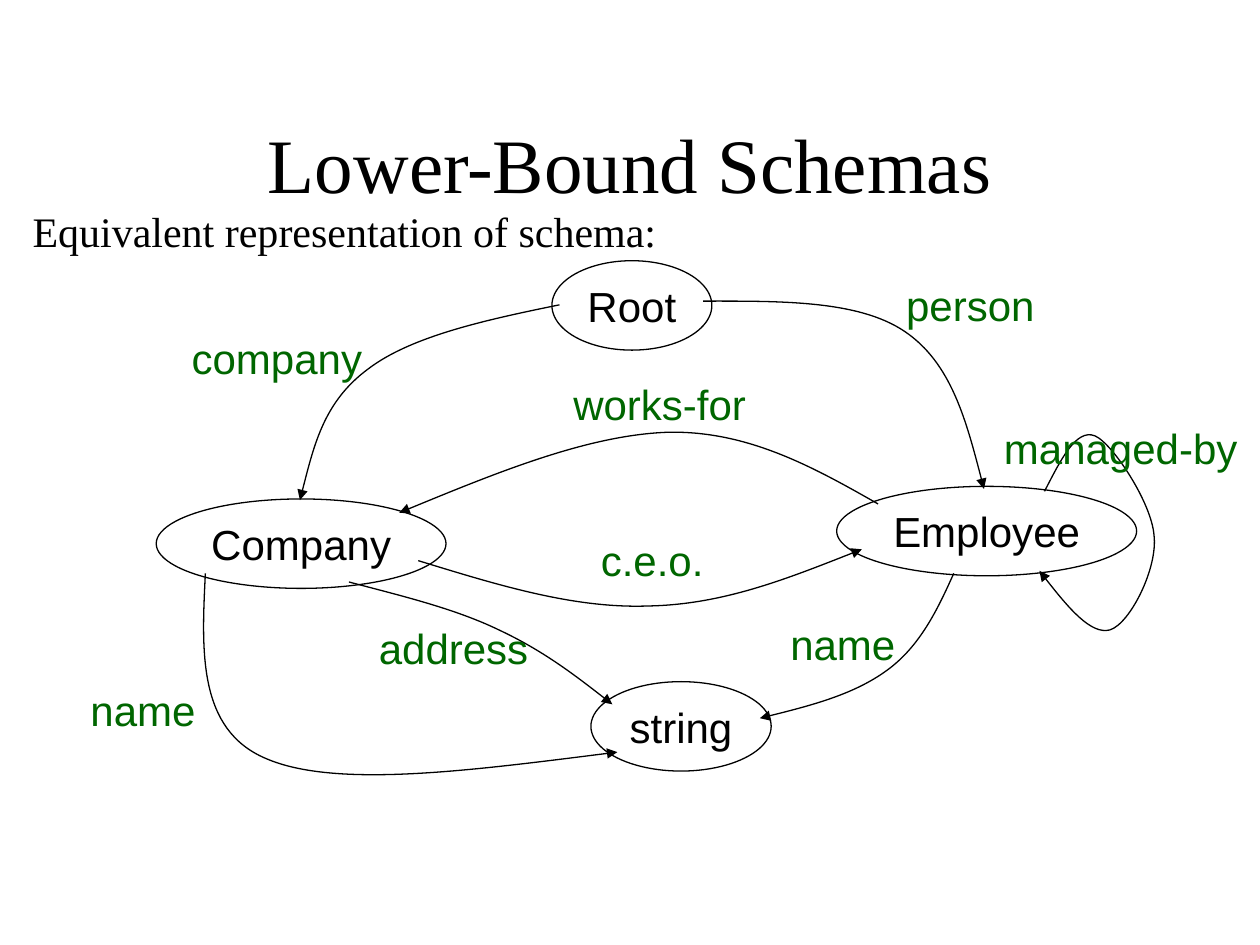
from dataclasses import dataclass

from lxml.etree import SubElement
from pptx import Presentation
from pptx.dml.color import RGBColor
from pptx.enum.shapes import MSO_SHAPE as Shape
from pptx.enum.text import MSO_ANCHOR as Anchor, MSO_AUTO_SIZE as AutoSize, PP_ALIGN as Align
from pptx.oxml.ns import qn
from pptx.util import Pt


@dataclass(frozen=True)
class Theme:
    ink: RGBColor = RGBColor(0x00, 0x00, 0x00)
    label: RGBColor = RGBColor(0x00, 0x66, 0x00)
    heading_font: str = "Times New Roman"
    diagram_font: str = "Arial"
    title_size: float = 44
    text_size: float = 24
    line_width: float = 0.75


THEME = Theme()
NODE_HEIGHT = 51.1
LABEL_HEIGHT = 36

NODES = [
    ("Root", 270.4, 0, 91.4),
    ("Company", 44.3, 136.1, 165.6),
    ("Employee", 433.1, 128.9, 171.4),
    ("string", 292.7, 240.5, 103),
]

EDGES = [
    ("company", (56.2, 37.5, 114),
     [(274.7, 25.2), (232.2, 33.9), (189.7, 43.2), (165.2, 62),
      (140, 80.7), (133.6, 108.8), (126.4, 136.8)]),
    ("person", (464.5, 7.2, 90),
     [(356.8, 23.1), (400.7, 23.1), (445.3, 22.4), (472, 40.4),
      (498.6, 58.4), (508, 94.4), (517.3, 130.4)]),
    ("managed-by", (520.4, 88.6, 150),
     [(551.9, 131.8), (561.2, 113.8), (569.9, 95.8), (580.7, 100.1),
      (590.8, 104.4), (613.1, 138.3), (614.5, 157),
      (616.7, 175.7), (600.8, 207.4), (589.3, 211),
      (578.5, 213.9), (563.4, 195.9), (549, 177.2)]),
    ("name", (398.6, 200.9, 76),
     [(500, 178.6), (490.7, 199.5), (480.6, 220.4), (461.9, 234),
      (443.2, 247.7), (415.8, 254.9), (389.2, 261.4)]),
    ("works-for", (274.4, 63.8, 115),
     [(456.8, 139), (420.1, 118.1), (382.7, 97.2), (337.3, 98),
      (292, 99.4), (237.2, 121.7), (183.2, 144)]),
    ("c.e.o.", (290.2, 152.7, 75),
     [(194, 171.4), (238.7, 185.1), (282.6, 198.8), (325.1, 197.3),
      (367.6, 196.6), (407.2, 180.8), (447.5, 164.9)]),
    ("address", (163.2, 203.1, 102),
     [(154.4, 183.6), (184.7, 191.6), (214.9, 198.8), (240.1, 211),
      (264.6, 222.5), (284.8, 237.7), (304.9, 253.5)]),
    ("name", (-1.3, 238.4, 76),
     [(72.4, 178.6), (70.2, 223.2), (68, 267.9), (106.9, 284.4),
      (146.5, 301.7), (227.2, 290.9), (307.8, 280.8)]),
]


def write_text(shape, text, font_name, size, color, align=Align.CENTER,
               anchor=Anchor.MIDDLE, wrap=False, auto_size=AutoSize.NONE):
    frame = shape.text_frame
    frame.text = text
    frame.word_wrap = wrap
    frame.auto_size = auto_size
    frame.vertical_anchor = anchor
    paragraph = frame.paragraphs[0]
    paragraph.alignment = align
    font = paragraph.runs[0].font
    font.name = font_name
    font.size = Pt(size)
    font.color.rgb = color


def draw_outline(shape):
    shape.shadow.inherit = False
    shape.fill.background()
    shape.line.color.rgb = THEME.ink
    shape.line.width = Pt(THEME.line_width)


def add_node(slide, box, text):
    node = slide.shapes.add_shape(Shape.OVAL, *map(Pt, box))
    draw_outline(node)
    write_text(node, text, THEME.diagram_font, THEME.text_size, THEME.ink)


def bend_segments(shape):
    points = list(shape.element.iter(qn("a:lnTo")))
    for start in range(0, len(points), 3):
        controls = points[start:start + 3]
        curve = SubElement(controls[0].getparent(), qn("a:cubicBezTo"))
        for control in controls:
            curve.append(control[0])
            control.getparent().remove(control)


def add_curved_arrow(slide, points):
    start, *rest = [(Pt(x), Pt(y)) for x, y in points]
    builder = slide.shapes.build_freeform(*start)
    builder.add_line_segments(rest, close=False)
    arrow = builder.convert_to_shape()
    bend_segments(arrow)
    draw_outline(arrow)
    line = arrow.element.spPr.find(qn("a:ln"))
    SubElement(line, qn("a:tailEnd"), type="triangle")


def add_label(slide, box, text):
    label = slide.shapes.add_textbox(*map(Pt, box))
    write_text(label, text, THEME.diagram_font, THEME.text_size, THEME.label,
               auto_size=AutoSize.SHAPE_TO_FIT_TEXT)


def place_title(slide, box, text):
    title = slide.shapes.title
    title.left, title.top, title.width, title.height = map(Pt, box)
    write_text(title, text, THEME.heading_font, THEME.title_size, THEME.ink, wrap=True)


def add_introduction(slide, box, text):
    introduction = slide.shapes.add_textbox(*map(Pt, box))
    write_text(introduction, text, THEME.heading_font, THEME.text_size, THEME.ink,
               align=Align.LEFT, anchor=Anchor.TOP,
               auto_size=AutoSize.SHAPE_TO_FIT_TEXT)


def add_schema_graph(slide, left, top):
    for text, x, y, width in NODES:
        add_node(slide, (left + x, top + y, width, NODE_HEIGHT), text)
    for _, _, points in EDGES:
        add_curved_arrow(slide, [(left + x, top + y) for x, y in points])
    for text, (x, y, width), _ in EDGES:
        add_label(slide, (left + x, top + y, width, LABEL_HEIGHT), text)


def main():
    presentation = Presentation()
    presentation.slide_width = Pt(720)
    presentation.slide_height = Pt(540)
    title_only = presentation.slide_layouts.get_by_name("Title Only")
    slide = presentation.slides.add_slide(title_only)
    place_title(slide, (54, 48, 612, 90), "Lower-Bound Schemas")
    add_schema_graph(slide, 45, 149)
    add_introduction(slide, (11.5, 113.8, 370.8, 36),
                     "Equivalent representation of schema:")
    presentation.save("out.pptx")


if __name__ == "__main__":
    main()
